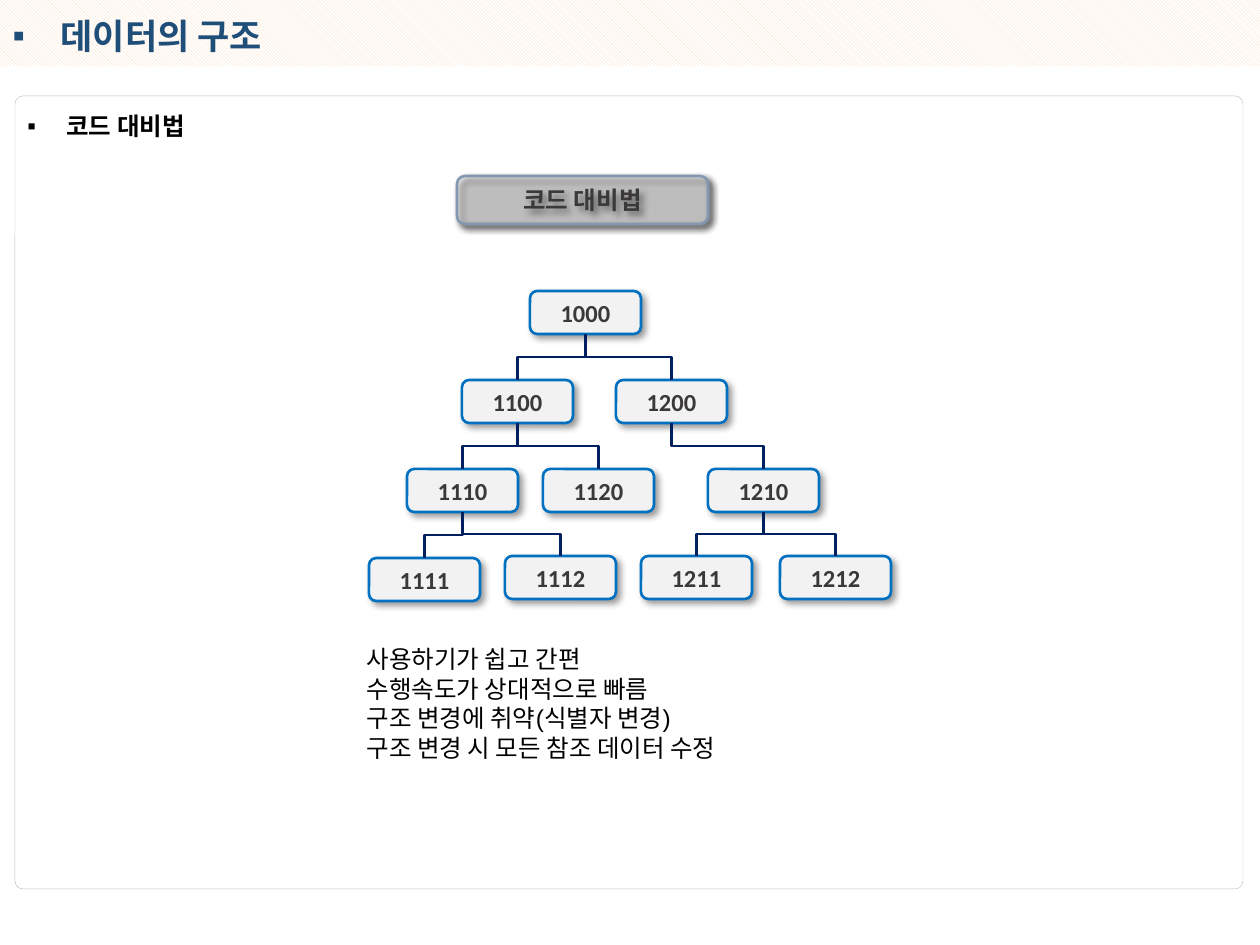
from lxml.etree import SubElement
from pptx import Presentation
from pptx.dml.color import RGBColor
from pptx.enum.dml import MSO_PATTERN
from pptx.enum.shapes import MSO_CONNECTOR, MSO_SHAPE
from pptx.enum.text import MSO_ANCHOR, MSO_AUTO_SIZE, PP_ALIGN
from pptx.oxml.ns import qn
from pptx.util import Pt

SCALE = 914400 / 126
COLORS = {
    "white": "FFFFFF", "black": "000000", "band": "FCD5B5", "frame": "BFBFBF",
    "title": "1F4E79", "box": "F2F2F2", "box_text": "3B3838",
    "heading_line": "8497B0", "node_line": "0070C0", "branch": "002060",
}
NODE_SIZE = (111, 43)
NODES = {
    "1000": (530, 291),
    "1100": (462, 380), "1200": (616, 380),
    "1110": (407, 469), "1120": (543, 469), "1210": (708, 469),
    "1111": (369, 558), "1112": (505, 556), "1211": (641, 556), "1212": (780, 556),
}
BRANCHES = {
    "1000": ("1100", "1200"),
    "1100": ("1110", "1120"),
    "1200": ("1210",),
    "1110": ("1111", "1112"),
    "1210": ("1211", "1212"),
}
FEATURES = [
    "사용하기가 쉽고 간편",
    "수행속도가 상대적으로 빠름",
    "구조 변경에 취약(식별자 변경)",
    "구조 변경 시 모든 참조 데이터 수정",
]


def px(length):
    return round(length * SCALE)


def color(name):
    return RGBColor.from_string(COLORS[name])


def write(shape, lines, size=14, ink="black", bold=False, font="Arial",
          align=PP_ALIGN.LEFT, anchor=MSO_ANCHOR.TOP, indent=0):
    frame = shape.text_frame
    frame.word_wrap = True
    frame.auto_size = MSO_AUTO_SIZE.NONE
    frame.vertical_anchor = anchor
    frame.text = "\n".join(lines)
    for paragraph in frame.paragraphs:
        paragraph.alignment = align
        paragraph.space_before = Pt(0)
        paragraph.font.size = Pt(size)
        properties = paragraph._p.get_or_add_pPr()
        properties.set("marL", str(px(indent)))
        properties.set("indent", str(-px(indent)))
        if indent:
            SubElement(properties, qn("a:buFont"), typeface="Arial")
            SubElement(properties, qn("a:buChar"), char="▪")
        else:
            SubElement(properties, qn("a:buNone"))
        for run in paragraph.runs:
            run.font.name = font
            run.font.size = Pt(size)
            run.font.bold = bold
            run.font.color.rgb = color(ink)


def place(slide, placeholder, left, top, width, height):
    placeholder.left, placeholder.top = px(left), px(top)
    placeholder.width, placeholder.height = px(width), px(height)
    slide.shapes._spTree.append(placeholder._element)
    return placeholder


def add_panel(slide, kind, left, top, width, height):
    panel = slide.shapes.add_shape(kind, px(left), px(top), px(width), px(height))
    panel.shadow.inherit = False
    return panel


def add_backdrop(slide):
    frame = add_panel(slide, MSO_SHAPE.ROUNDED_RECTANGLE, 15, 96, 1228, 793)
    frame.adjustments[0] = 0.01
    frame.fill.background()
    frame.line.color.rgb = color("frame")
    frame.line.width = Pt(0.25)
    band = add_panel(slide, MSO_SHAPE.RECTANGLE, 0, 0, 1260, 66)
    band.fill.patterned()
    band.fill.pattern = MSO_PATTERN.LIGHT_DOWNWARD_DIAGONAL
    band.fill.fore_color.rgb = color("band")
    band.fill.back_color.rgb = color("white")
    band.line.fill.background()


def add_box(slide, label, left, top, width, height, outline, opacity=100):
    box = add_panel(slide, MSO_SHAPE.ROUNDED_RECTANGLE, left, top, width, height)
    box.fill.solid()
    box.fill.fore_color.rgb = color("box")
    box.line.color.rgb = color(outline)
    box.line.width = Pt(1.5)
    properties = box._element.spPr
    if opacity < 100:
        fill = properties.find(qn("a:solidFill")).find(qn("a:srgbClr"))
        SubElement(fill, qn("a:alpha"), val=str(opacity * 1000))
    shadow = SubElement(properties.find(qn("a:effectLst")), qn("a:outerShdw"),
                        blurRad=str(Pt(4)), dist=str(Pt(3)), dir=str(45 * 60000),
                        algn="tl", rotWithShape="0")
    tint = SubElement(shadow, qn("a:srgbClr"), val=COLORS["black"])
    SubElement(tint, qn("a:alpha"), val="40000")
    write(box, [label], ink="box_text", bold=True, font="Calibri",
          align=PP_ALIGN.CENTER, anchor=MSO_ANCHOR.MIDDLE)
    return box


def add_branch(slide, parent, child):
    start_x, start_y = parent.left + parent.width // 2, parent.top + parent.height
    end_x, end_y = child.left + child.width // 2, child.top
    branch = slide.shapes.add_connector(MSO_CONNECTOR.ELBOW, start_x, start_y, end_x, end_y)
    branch.begin_connect(parent, 2)
    branch.end_connect(child, 0)
    drop, spread = end_y - start_y, abs(end_x - start_x)
    branch.left = (start_x + end_x - drop) // 2
    branch.top = (start_y + end_y - spread) // 2
    branch.width, branch.height = drop, spread
    rightward = end_x > start_x
    turn = branch._element.spPr.get_or_add_xfrm()
    turn.set("rot", str((270 if rightward else 90) * 60000))
    turn.set("flipH", "1" if rightward else "0")
    branch.line.color.rgb = color("branch")
    branch.line.width = Pt(1.5)
    SubElement(branch._element.spPr, qn("a:effectLst"))


def main():
    deck = Presentation()
    deck.slide_width, deck.slide_height = px(1260), px(945)
    slide = deck.slides.add_slide(deck.slide_layouts[1])
    title, features = slide.placeholders
    add_backdrop(slide)
    write(place(slide, title, 0, 8, 297, 55), ["데이터의 구조"],
          size=20, ink="title", bold=True, indent=48)

    add_box(slide, "코드 대비법", 457, 176, 251, 48, "heading_line", opacity=40)
    nodes = {code: add_box(slide, code, *corner, *NODE_SIZE, "node_line")
             for code, corner in NODES.items()}
    for parent, children in BRANCHES.items():
        for child in children:
            add_branch(slide, nodes[parent], nodes[child])

    write(place(slide, features, 354, 638, 548, 131), FEATURES)
    topic = slide.shapes.add_textbox(px(15), px(105), px(1192), px(43))
    write(topic, ["코드 대비법"], bold=True, indent=39)
    deck.save("out.pptx")


if __name__ == "__main__":
    main()
